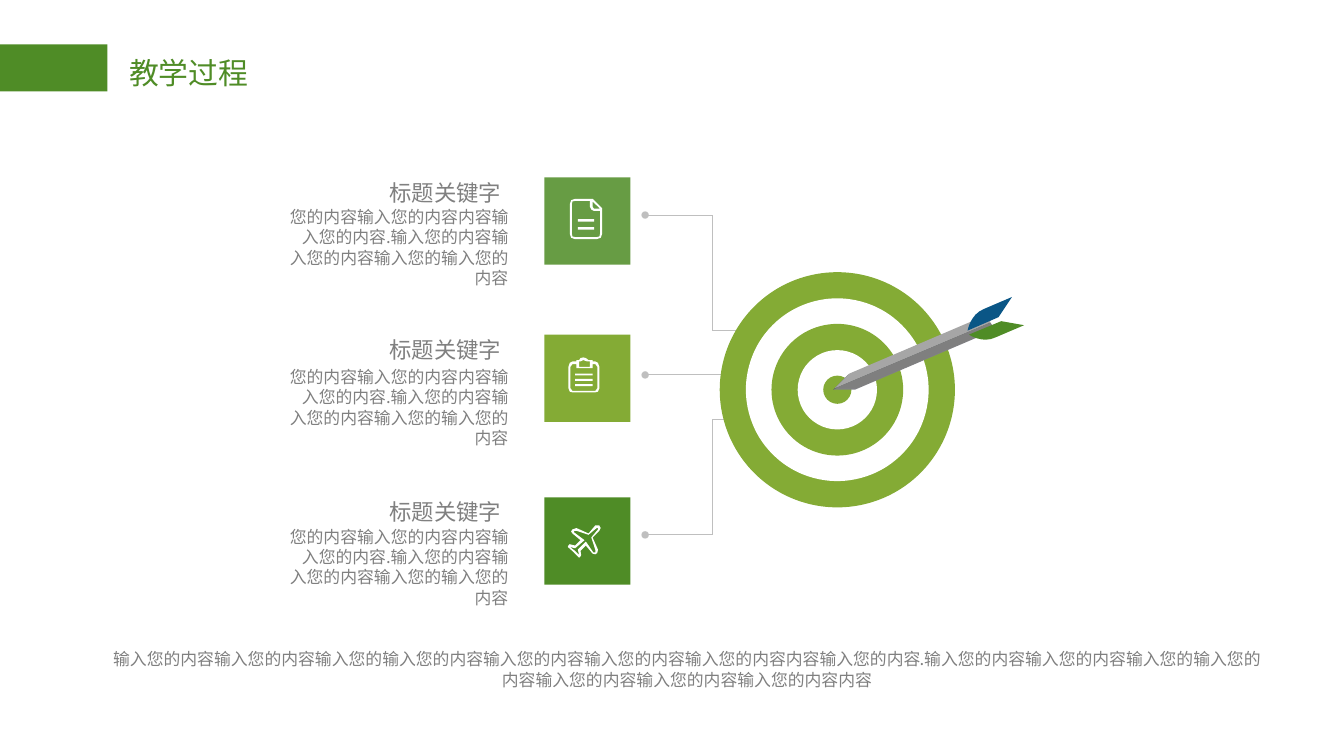
from itertools import pairwise

from lxml.etree import SubElement
from pptx import Presentation
from pptx.dml.color import RGBColor
from pptx.enum.shapes import MSO_CONNECTOR as Connector, MSO_SHAPE as Shape
from pptx.enum.text import MSO_ANCHOR as Anchor, MSO_AUTO_SIZE as AutoSize, PP_ALIGN as Align
from pptx.oxml.ns import qn
from pptx.util import Inches, Pt

GREEN = RGBColor(0x4F, 0x8C, 0x26)
LIME = RGBColor(0x84, 0xAB, 0x35)
BLUE = RGBColor(0x0A, 0x56, 0x86)
WHITE = RGBColor(0xFF, 0xFF, 0xFF)
TEXT_GRAY = RGBColor(0x80, 0x80, 0x80)
LINE_GRAY = RGBColor(0xBF, 0xBF, 0xBF)
TEXT_FONT = "Noto Sans CJK SC"

TITLE = "教学过程"
HEADING = "标题关键字"
DETAIL = "您的内容输入您的内容内容输入您的内容.输入您的内容输入您的内容输入您的输入您的内容"
SUMMARY = (
    "输入您的内容输入您的内容输入您的输入您的内容输入您的内容输入您的内容输入您的内容内容"
    "输入您的内容.输入您的内容输入您的内容输入您的输入您的内容输入您的内容输入您的内容输入您的内容内容"
)


def bar(left, top, right, bottom):
    return [(left, top), (right, top), (right, bottom), (left, bottom)]


# Icon outlines, in hundredths of an inch from the icon's corner
DOCUMENT = [
    [(17, 0), (4, 0), (1, 1), (0, 4), (0, 26), (1, 29), (4, 30), (20, 30), (23, 29), (24, 26), (24, 7)],
    [(22.5, 26), (22, 28), (20, 28.5), (4, 28.5), (2, 28), (1.5, 26), (1.5, 4), (2, 2), (4, 1.5),
     (15, 1.5), (15, 6), (16, 8), (18, 9), (22.5, 9)],
    [(18, 7.4), (17, 6), (17, 2), (22.5, 7.4)],
    bar(6, 15, 18, 17), bar(6, 21, 18, 23),
]
CLIPBOARD = [
    [(20, 3), (18, 3), (18, 2), (15, 2), (13, 0.5), (11, 0), (9, 0.5), (8, 2), (6, 2), (6, 3), (3, 3),
     (1, 4), (0, 7), (0, 23), (1, 25.5), (3, 26), (20, 26), (22, 25.5), (23, 23), (23, 7), (22, 4)],
    [(8, 3), (9, 3), (11, 2), (14, 3), (16, 3), (16, 7), (8, 7)],
    [(21.5, 23), (20, 25), (3, 25), (1.5, 23), (1.5, 7), (3, 5), (6, 5), (6, 8), (18, 8), (18, 5),
     (20, 5), (21.5, 7)],
    *(bar(5, top, 18, top + 1.4) for top in (12, 16, 20)),
]
PLANE = [
    [(24, 1), (21, 1), (16, 7), (7, 3), (4, 4), (3, 5.5), (4, 7), (10, 12), (6, 16), (2, 15), (1, 16),
     (0.5, 17), (5, 21), (9, 25), (10, 24), (10.5, 23), (10, 20), (14, 16), (19, 22), (21, 22.5),
     (22.5, 21.5), (23, 19), (19, 10), (24, 5), (25, 3)],
    [(23, 4), (18, 10), (21, 19), (21, 21), (19.5, 21), (14, 13), (8, 19), (9, 23), (6, 20), (2, 17),
     (6, 18), (13, 12), (5, 6), (5.5, 5), (7, 5), (16, 8), (22, 3), (23, 2.7)],
]

# Square top, square colour, opacity in percent, icon, icon offset in the square
STEPS = [
    (1.32, GREEN, 86, DOCUMENT, (0.19, 0.16)),
    (2.49, LIME, 100, CLIPBOARD, (0.18, 0.17)),
    (3.70, GREEN, 100, PLANE, (0.17, 0.20)),
]
SQUARE_LEFT, SQUARE_SIZE = 4.05, (0.64, 0.65)
DETAIL_TOP, DETAIL_PITCH = 1.49, 1.19

# Each route runs from the target to the dot beside a square
DOT_X, TURN_X, TARGET_X = 4.8, 5.3, 5.92
ROUTES = [
    [(TARGET_X, 2.46), (TURN_X, 2.46), (TURN_X, 1.6), (DOT_X, 1.6)],
    [(TARGET_X, 2.79), (DOT_X, 2.79)],
    [(TARGET_X, 3.12), (TURN_X, 3.12), (TURN_X, 3.98), (DOT_X, 3.98)],
]

TARGET_CENTER = (6.23, 2.9)
RINGS = [(1.75, LIME), (1.36, WHITE), (0.98, LIME), (0.59, WHITE), (0.21, LIME)]


def curve(start, control_a, control_b, end, count=8):
    """Points along a cubic Bezier curve."""
    points = []
    for step in range(count + 1):
        t = step / count
        weights = ((1 - t) ** 3, 3 * t * (1 - t) ** 2, 3 * t * t * (1 - t), t ** 3)
        points.append(tuple(
            sum(weight * value for weight, value in zip(weights, values))
            for values in zip(start, control_a, control_b, end)))
    return points


UPPER_SHAFT = [(6.31, 2.79), (7.34, 2.35), (7.36, 2.41), (6.2, 2.9)]
LOWER_SHAFT = [(6.36, 2.9), (7.39, 2.46), (7.36, 2.41), (6.2, 2.9)]
# Points, colour, shift right and up
ARROW = [
    (UPPER_SHAFT, RGBColor(0x51, 0x5D, 0x5D), 0),
    (LOWER_SHAFT, RGBColor(0x82, 0x82, 0x86), 0),
    (UPPER_SHAFT, RGBColor(0xA6, 0xA6, 0xA6), 0.01),
    (LOWER_SHAFT, RGBColor(0x7F, 0x7F, 0x7F), 0.01),
    (curve((7.2, 2.46), (7.2, 2.46), (7.22, 2.34), (7.32, 2.3)) + [(7.53, 2.21), (7.43, 2.36)], BLUE, 0),
    (curve((7.21, 2.49), (7.21, 2.49), (7.31, 2.56), (7.41, 2.51)) + [(7.62, 2.42), (7.45, 2.39)], GREEN, 0),
]

presentation = Presentation()
presentation.slide_width = Inches(10)
presentation.slide_height = presentation.slide_width * 9 // 16
slide = presentation.slides.add_slide(presentation.slide_layouts[5])
shapes = slide.shapes


def paint(shape, color):
    shape.shadow.inherit = False
    shape.fill.solid()
    shape.fill.fore_color.rgb = color
    shape.line.fill.background()
    return shape


def add_preset(kind, box, color):
    return paint(shapes.add_shape(kind, *map(Inches, box)), color)


def add_outline(contours, color, origin=(0, 0), unit=1):
    """Draw closed contours as one shape; a contour inside another is a hole."""
    placed = [[tuple(Inches(start + unit * value) for start, value in zip(origin, point))
               for point in contour] for contour in contours]
    builder = shapes.build_freeform(*placed[0][0])
    for index, (first, *rest) in enumerate(placed):
        if index:
            builder.move_to(*first)
        builder.add_line_segments(rest, close=True)
    return paint(builder.convert_to_shape(), color)


def write(shape, text, size, color, font, align, margins, wrap=True):
    frame = shape.text_frame
    frame.text = text
    sides = dict(zip(("margin_left", "margin_top", "margin_right", "margin_bottom"), map(Inches, margins * 2)))
    layout = {"word_wrap": wrap, "auto_size": AutoSize.NONE, "vertical_anchor": Anchor.TOP}
    for name, value in {**sides, **layout}.items():
        setattr(frame, name, value)
    paragraph = frame.paragraphs[0]
    paragraph.alignment = align
    run = paragraph.runs[0]
    for name, value in {"size": Pt(size), "name": font}.items():
        setattr(run.font, name, value)
    run.font.color.rgb = color
    SubElement(run.font._element, qn("a:ea")).set("typeface", font)


def add_text(box, text, size, align, margins):
    write(shapes.add_textbox(*map(Inches, box)), text, size, TEXT_GRAY, TEXT_FONT, align, margins)


def add_line(start, end, dot):
    line = shapes.add_connector(Connector.STRAIGHT, *map(Inches, start + end))
    line.line.color.rgb = LINE_GRAY
    line.line.width = Pt(0.5)
    if dot:
        tail = SubElement(line.line._get_or_add_ln(), qn("a:tailEnd"))
        for name, value in {"type": "oval", "w": "sm", "len": "sm"}.items():
            tail.set(name, value)
    SubElement(line._element.spPr, qn("a:effectLst"))


add_preset(Shape.RECTANGLE, (0, 0.33, 0.8, 0.35), GREEN)
title = shapes.title
title.left, title.top, title.width, title.height = map(Inches, (0.88, 0.37, 1.05, 0.35))
write(title, TITLE, 16, GREEN, "Calibri", Align.LEFT, (0.08, 0.04), wrap=False)
add_text((0.81, 4.83, 8.6, 0.3), SUMMARY, 9, Align.CENTER, (0, 0))

for route in ROUTES:
    for start, end in pairwise(route):
        add_line(start, end, dot=end == route[-1])

for row, (top, color, opacity, icon, offset) in enumerate(STEPS):
    add_text((1.95, top - 0.09, 1.98, 0.4), HEADING, 12, Align.RIGHT, (0.2, 0.1))
    square = add_preset(Shape.RECTANGLE, (SQUARE_LEFT, top, *SQUARE_SIZE), color)
    if opacity < 100:
        fill_color = square._element.spPr.find(qn("a:solidFill"))[0]
        SubElement(fill_color, qn("a:alpha")).set("val", str(opacity * 1000))
    add_outline(icon, WHITE, (SQUARE_LEFT + offset[0], top + offset[1]), 0.01)
    add_text((2.03, DETAIL_TOP + row * DETAIL_PITCH, 1.85, 0.71), DETAIL, 9, Align.RIGHT, (0.1, 0.05))

for diameter, color in RINGS:
    left, top = (center - diameter / 2 for center in TARGET_CENTER)
    add_preset(Shape.OVAL, (left, top, diameter, diameter), color)
for points, color, shift in ARROW:
    add_outline([points], color, (shift, -shift))

presentation.save("out.pptx")
